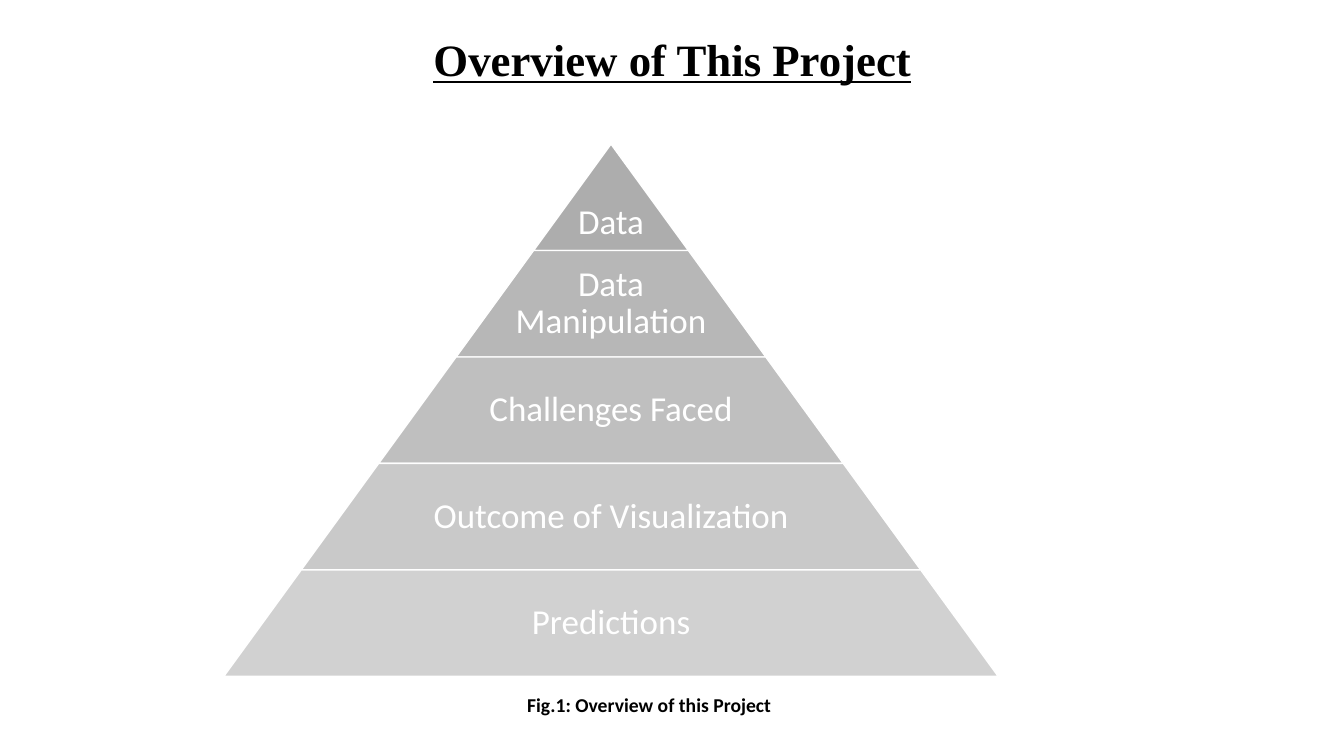
from lxml.etree import SubElement
from pptx import Presentation
from pptx.dml.color import RGBColor
from pptx.enum.shapes import MSO_SHAPE
from pptx.enum.text import MSO_ANCHOR, MSO_AUTO_SIZE, PP_ALIGN
from pptx.oxml.ns import qn
from pptx.util import Inches, Pt

WIDTH, HEIGHT = 13.33, 7.5
TIERS = ["Data", "Data Manipulation", "Challenges Faced",
         "Outcome of Visualization", "Predictions"]
TITLE_FONT = {"name": "Times New Roman", "size": Pt(32), "bold": True, "underline": True}
TIER_FONT = {"name": "Calibri", "size": Pt(25)}
CAPTION_FONT = {"name": "Calibri", "size": Pt(14), "bold": True}
LABEL_FRAME = {f"margin_{side}": Inches(0.03) for side in ("left", "top", "right", "bottom")}
LABEL_FRAME["vertical_anchor"] = MSO_ANCHOR.MIDDLE
TOP_FRAME = {**LABEL_FRAME, "vertical_anchor": MSO_ANCHOR.BOTTOM, "margin_bottom": Inches(0.08)}
GROWING_FRAME = {"auto_size": MSO_AUTO_SIZE.SHAPE_TO_FIT_TEXT}


def color(value):
    return RGBColor.from_string(value)


def apply(target, values):
    for name, value in values.items():
        setattr(target, name, value)


def add_text(page, area, text, font, ink, frame_format, spacing=1.0):
    frame = page.shapes.add_textbox(*map(Inches, area)).text_frame
    apply(frame, {"word_wrap": True, **frame_format})
    para = frame.paragraphs[0]
    apply(para, {"alignment": PP_ALIGN.CENTER, "line_spacing": spacing})
    span = para.add_run()
    span.text = text
    apply(span.font, font)
    span.font.color.rgb = color(ink)


def add_tier(page, area, slope, opacity):
    tier = page.shapes.add_shape(MSO_SHAPE.TRAPEZOID, *map(Inches, area))
    tier.adjustments[0] = slope
    tier.shadow.inherit = False
    tier.fill.solid()
    tier.fill.fore_color.rgb = color("A5A5A5")
    shade = tier.fill._xPr.find(qn("a:solidFill"))[0]
    SubElement(shade, qn("a:alpha"), val=str(opacity * 1000))
    tier.line.color.rgb = color("FFFFFF")
    tier.line.width = Pt(1)


def add_pyramid(page, area, labels):
    left, top, width, height = area
    step = height / len(labels)
    slope = width / height / 2
    for row, label in enumerate(labels):
        tier_width = width * (row + 1) / len(labels)
        label_width = tier_width * (0.65 if row else 1)
        center = left + width / 2
        y = top + row * step
        add_tier(page, (center - tier_width / 2, y, tier_width, step), slope, 90 - 10 * row)
        add_text(page, (center - label_width / 2, y, label_width, step), label,
                 TIER_FONT, "FFFFFF", LABEL_FRAME if row else TOP_FRAME, 0.9)


def main():
    deck = Presentation()
    deck.slide_width, deck.slide_height = Inches(WIDTH), Inches(HEIGHT)
    page = deck.slides.add_slide(deck.slide_layouts[6])
    add_text(page, (2.83, 0.27, 7.68, 0.64), "Overview of This Project",
             TITLE_FONT, "000000", GROWING_FRAME)
    add_pyramid(page, (2.22, 1.43, 7.68, 5.28), TIERS)
    add_text(page, (2.98, 6.83, 6.92, 0.34), "Fig.1: Overview of this Project",
             CAPTION_FONT, "000000", GROWING_FRAME)
    deck.save("out.pptx")


if __name__ == "__main__":
    main()
